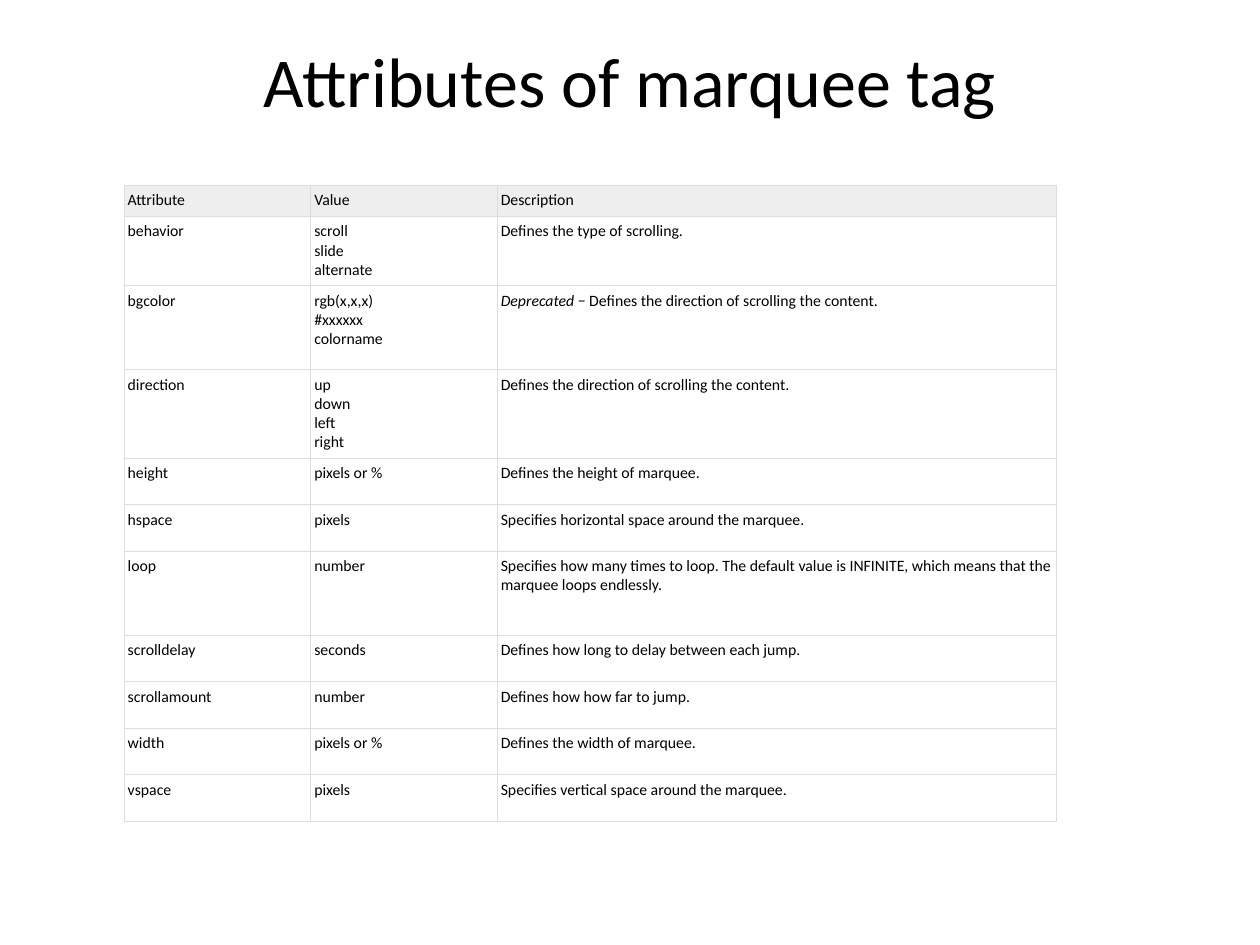
from dataclasses import dataclass

from lxml import etree
from pptx import Presentation
from pptx import util as u
from pptx.dml import color
from pptx.enum import text
from pptx.oxml import ns

Pt = u.Pt
FONT = "Calibri"
BLACK = "000000"
HEADER_FILL = "EEEEEE"
BORDER = "DDDDDD"
COLUMN_WIDTHS = (106.6, 106.6, 319.7)


@dataclass
class AttributeRow:
    name: str
    value: str
    description: str
    height: float = 26.6
    lead: str = ""
    fill: str = ""


ROWS = [
    AttributeRow("Attribute", "Value", "Description", 16, fill=HEADER_FILL),
    AttributeRow("behavior", "scroll\nslide\nalternate",
                 "Defines the type of scrolling.", 37.4),
    AttributeRow("bgcolor", "rgb(x,x,x)\n#xxxxxx\ncolorname",
                 " − Defines the direction of scrolling the content.", 48, "Deprecated"),
    AttributeRow("direction", "up\ndown\nleft\nright",
                 "Defines the direction of scrolling the content.", 48),
    AttributeRow("height", "pixels or %", "Defines the height of marquee."),
    AttributeRow("hspace", "pixels", "Specifies horizontal space around the marquee."),
    AttributeRow("loop", "number",
                 "Specifies how many times to loop. The default value is INFINITE, "
                 "which means that the marquee loops endlessly.", 48),
    AttributeRow("scrolldelay", "seconds", "Defines how long to delay between each jump."),
    AttributeRow("scrollamount", "number", "Defines how how far to jump."),
    AttributeRow("width", "pixels or %", "Defines the width of marquee."),
    AttributeRow("vspace", "pixels", "Specifies vertical space around the marquee."),
]


def rgb(value: str) -> color.RGBColor:
    return color.RGBColor.from_string(value)


def add_run(p, content: str, size: float, italic: bool = False) -> None:
    r = p.add_run()
    r.text = content
    r.font.name = FONT
    r.font.size = Pt(size)
    r.font.italic = italic
    r.font.color.rgb = rgb(BLACK)


def set_borders(cell) -> None:
    tc_pr = cell._tc.get_or_add_tcPr()
    for index, side in enumerate(("lnL", "lnR", "lnT", "lnB")):
        ln = etree.Element(ns.qn(f"a:{side}"), w=str(Pt(0.28)))
        fill = etree.SubElement(ln, ns.qn("a:solidFill"))
        etree.SubElement(fill, ns.qn("a:srgbClr"), val=BORDER)
        tc_pr.insert(index, ln)


def fill_cell(cell, content: str, lead: str, fill: str) -> None:
    cell.margin_left = cell.margin_right = Pt(2.2)
    cell.margin_top = cell.margin_bottom = Pt(3.4)
    if fill:
        cell.fill.solid()
        cell.fill.fore_color.rgb = rgb(fill)
    else:
        cell.fill.background()
    set_borders(cell)
    p = cell.text_frame.paragraphs[0]
    if lead:
        add_run(p, lead, 9, italic=True)
    for index, line in enumerate(content.split("\n")):
        if index:
            p.add_line_break()
        add_run(p, line, 9)


def add_title(s, content: str) -> None:
    sp = s.shapes.title
    sp.left, sp.top, sp.width, sp.height = Pt(36), Pt(21.6), Pt(648), Pt(90)
    tf = sp.text_frame
    tf.auto_size = text.MSO_AUTO_SIZE.NONE
    tf.vertical_anchor = text.MSO_ANCHOR.TOP
    tf.margin_top = 0
    p = tf.paragraphs[0]
    p.alignment = text.PP_ALIGN.CENTER
    add_run(p, content, 40)


def add_attribute_table(s, rows: list[AttributeRow]) -> None:
    frame = s.shapes.add_table(len(rows), len(COLUMN_WIDTHS), Pt(70.8), Pt(105.8),
                               Pt(sum(COLUMN_WIDTHS)), Pt(sum(row.height for row in rows)))
    table = frame.table
    table.first_row = table.horz_banding = False
    for column, width in zip(table.columns, COLUMN_WIDTHS):
        column.width = Pt(width)
    for table_row, row in zip(table.rows, rows):
        table_row.height = Pt(row.height)
        name, value, description = table_row.cells
        fill_cell(name, row.name, "", row.fill)
        fill_cell(value, row.value, "", row.fill)
        fill_cell(description, row.description, row.lead, row.fill)


def main() -> None:
    prs = Presentation()
    prs.slide_width, prs.slide_height = Pt(720), Pt(540)
    s = prs.slides.add_slide(prs.slide_layouts[5])
    add_title(s, "Attributes of marquee tag")
    add_attribute_table(s, ROWS)
    prs.save("out.pptx")


if __name__ == "__main__":
    main()
